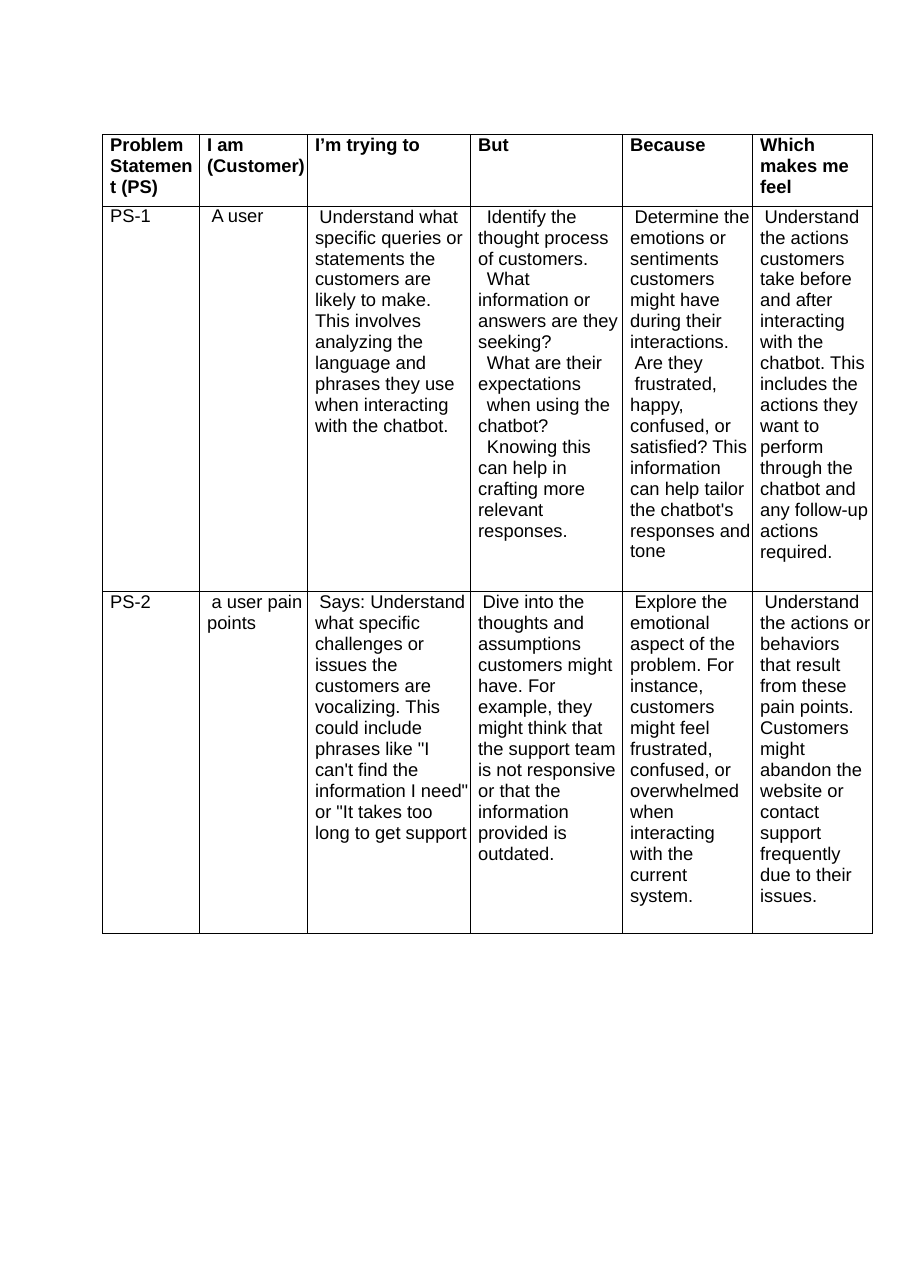
"""Build the customer problem statement table slide."""
import pptx
import pptx.dml.color
import pptx.oxml
import pptx.oxml.ns
import pptx.util

PX = 9144
COLORS = {"text": "000000", "border": "000000"}
COLUMN_WIDTHS = [88, 98, 148, 138, 118, 109]
ROW_HEIGHTS = [65, 350, 310]
CELL_MARGIN = 7
BORDER_POINTS = 0.58
SHORT_TEXT = 14

STATEMENTS = [
    [
        ["Problem Statemen t (PS)"],
        ["I am (Customer)"],
        ["I’m trying to"],
        ["But"],
        ["Because"],
        ["Which makes me feel"],
    ],
    [
        ["PS-1"],
        ["A user"],
        ["Understand what specific queries or statements the customers are likely to make. "
         "This involves analyzing the language and phrases they use when interacting with the chatbot."],
        ["Identify the thought process of customers.",
         "What information or answers are they seeking?",
         "What are their expectations",
         "when using the chatbot?",
         "Knowing this can help in crafting more relevant responses."],
        ["Determine the emotions or sentiments customers might have during their interactions.",
         "Are they",
         "frustrated, happy, confused, or satisfied? This information can help tailor "
         "the chatbot's responses and tone"],
        ["Understand the actions customers take before and after interacting with the chatbot. "
         "This includes the actions they want to perform through the chatbot and any follow-up "
         "actions required."],
    ],
    [
        ["PS-2"],
        ["a user pain points"],
        ["Says: Understand what specific challenges or issues the customers are vocalizing. "
         "This could include phrases like \"I can't find the information I need\" or "
         "\"It takes too long to get support"],
        ["Dive into the thoughts and assumptions customers might have. For example, they might "
         "think that the support team is not responsive or that the information provided is outdated."],
        ["Explore the emotional aspect of the problem. For instance, customers might feel "
         "frustrated, confused, or overwhelmed when interacting with the current system."],
        ["Understand the actions or behaviors that result from these pain points. Customers might "
         "abandon the website or contact support frequently due to their issues."],
    ],
]


def px(length):
    """Turn whole px into EMU."""
    return pptx.util.Emu(length * PX)


def write_paragraph(paragraph, text, *, bold=False, indent=0, color="text", size=12, font="Arial"):
    """Write formatted text with a hanging left margin and first-line indent."""
    properties = paragraph._p.get_or_add_pPr()
    properties.set("marL", str(px(CELL_MARGIN)))
    properties.set("indent", str(px(indent)))
    paragraph.line_spacing = 1.0 if len(text) < SHORT_TEXT else 1.02
    run = paragraph.add_run()
    run.text = text
    run.font.name = font
    run.font.size = pptx.util.Pt(size)
    run.font.bold = bold
    run.font.color.rgb = pptx.dml.color.RGBColor.from_string(COLORS[color])


def style_cell(cell):
    """Clear the cell's margins and fill and draw its four borders."""
    cell.margin_left = cell.margin_right = cell.margin_top = cell.margin_bottom = 0
    properties = cell._tc.get_or_add_tcPr()
    for side in "LRTB":
        properties.append(pptx.oxml.parse_xml(
            f'<a:ln{side} {pptx.oxml.ns.nsdecls("a")} w="{pptx.util.Pt(BORDER_POINTS)}">'
            f'<a:solidFill><a:srgbClr val="{COLORS["border"]}"/></a:solidFill></a:ln{side}>'))
    cell.fill.background()


def first_line_indent(row, column, texts):
    """Give the first-line indent in px for a cell."""
    if row == 0 or column == 0:
        return 0
    return 8 if len(texts) > 3 else 4


def fill_cell(cell, texts, **text_format):
    """Write one paragraph per text into a styled cell."""
    style_cell(cell)
    frame = cell.text_frame
    for index, text in enumerate(texts):
        paragraph = frame.add_paragraph() if index else frame.paragraphs[0]
        write_paragraph(paragraph, text, **text_format)


def add_statement_table(slide, left, top):
    """Add the problem statement table."""
    table = slide.shapes.add_table(
        len(ROW_HEIGHTS), len(COLUMN_WIDTHS), px(left), px(top),
        px(sum(COLUMN_WIDTHS)), px(sum(ROW_HEIGHTS))).table
    table.first_row = table.horz_banding = False
    for column, width in zip(table.columns, COLUMN_WIDTHS):
        column.width = px(width)
    for row, height in zip(table.rows, ROW_HEIGHTS):
        row.height = px(height)
    for row, statement in enumerate(STATEMENTS):
        for column, texts in enumerate(statement):
            fill_cell(table.cell(row, column), texts, bold=row == 0,
                      indent=first_line_indent(row, column, texts))


def main():
    """Create and save the presentation."""
    presentation = pptx.Presentation()
    presentation.slide_width = px(826)
    presentation.slide_height = px(1169)
    slide = presentation.slides.add_slide(presentation.slide_layouts[6])
    add_statement_table(slide, 93, 122)
    presentation.save("out.pptx")


if __name__ == "__main__":
    main()
